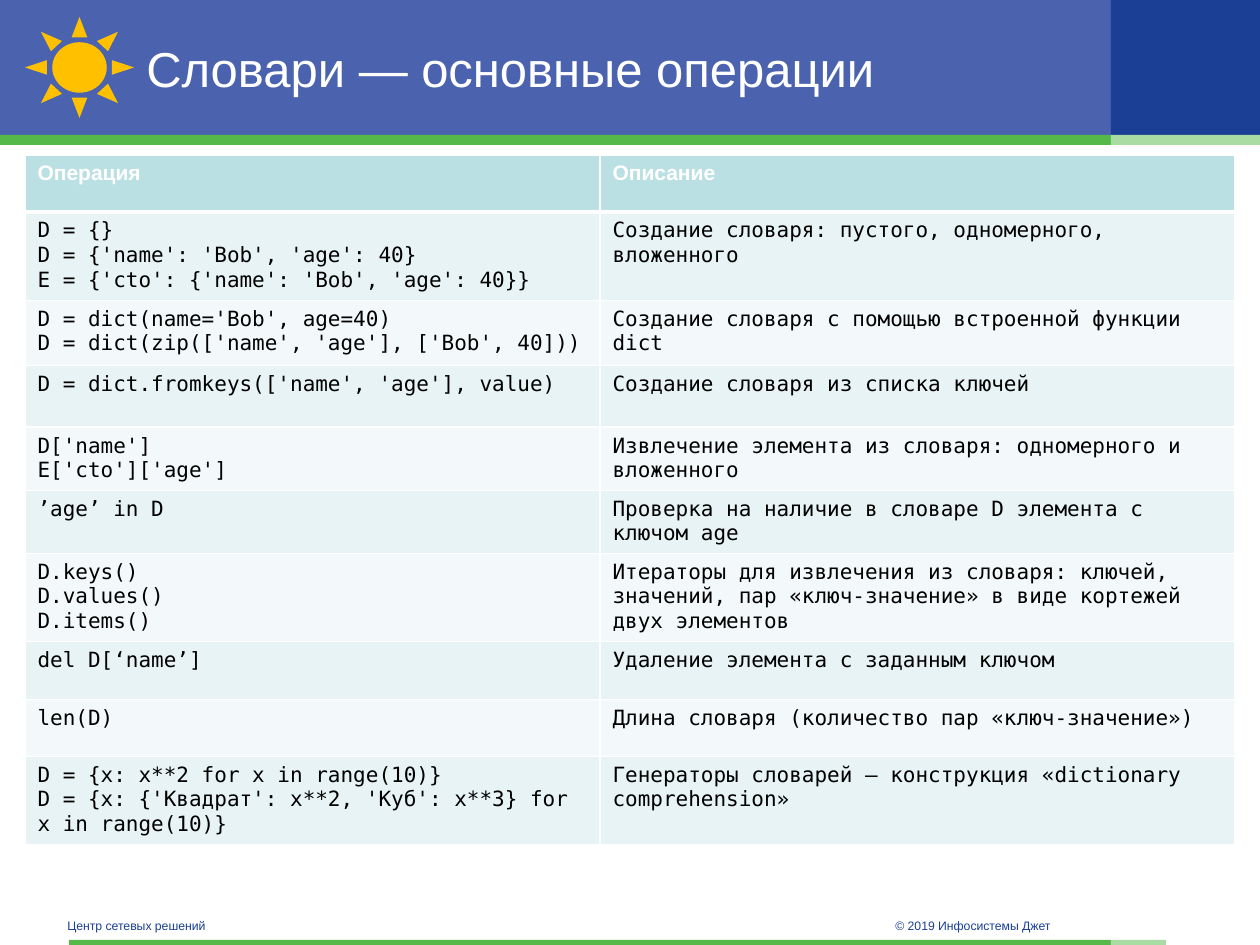
from typing import NamedTuple

from lxml.etree import SubElement
from pptx import Presentation
from pptx.dml.color import RGBColor
from pptx.enum.shapes import MSO_SHAPE
from pptx.enum.text import MSO_ANCHOR
from pptx.oxml.ns import qn
from pptx.util import Emu, Pt

SCALE = 914400 / 126  # EMU in one px
COLORS = {
    "band": "4B63AE", "navy": "1B3F94", "green": "54B948", "light": "A9DCA3",
    "sun": "FFC000", "white": "FFFFFF", "black": "000000",
    "head": "BBE0E3", "odd": "E7F3F4", "even": "F3F9FA",
}
SANS, MONO = "Arial", "DejaVu Sans Mono"


class Block(NamedTuple):
    left: int
    top: int
    width: int
    height: int
    color: str
    kind: MSO_SHAPE = MSO_SHAPE.RECTANGLE


class Label(NamedTuple):
    left: int
    top: int
    width: int
    height: int
    text: str
    size: int
    color: str


class Row(NamedTuple):
    height: int
    code: str
    note: str


BLOCKS = [
    # Header band with its green rule
    Block(0, 0, 1260, 135, "band"),
    Block(1111, 0, 149, 135, "navy"),
    Block(0, 135, 1111, 10, "green"),
    Block(1111, 135, 149, 10, "light"),
    # Footer rule
    Block(69, 940, 1042, 5, "green"),
    Block(1111, 940, 55, 5, "light"),
    # Sun sign
    Block(25, 17, 109, 101, "sun", MSO_SHAPE.SUN),
]
LABELS = [
    Label(134, 18, 952, 100, "Словари — основные операции", 28, "white"),
    Label(55, 912, 416, 28, "Центр сетевых решений", 7, "navy"),
    Label(883, 912, 298, 28, "© 2019 Инфосистемы Джет", 7, "navy"),
]
COLS = [575, 635]
ROWS = [
    Row(57, "Операция", "Описание"),
    Row(86, "D = {}\nD = {'name': 'Bob', 'age': 40}\n"
        "E = {'cto': {'name': 'Bob', 'age': 40}}",
        "Создание словаря: пустого, одномерного, вложенного"),
    Row(65, "D = dict(name='Bob', age=40)\n"
        "D = dict(zip(['name', 'age'], ['Bob', 40]))",
        "Создание словаря с помощью встроенной функции dict"),
    Row(62, "D = dict.fromkeys(['name', 'age'], value)",
        "Создание словаря из списка ключей"),
    Row(62, "D['name']\nE['cto']['age']",
        "Извлечение элемента из словаря: одномерного и вложенного"),
    Row(62, "’age’ in D",
        "Проверка на наличие в словаре D элемента с ключом age"),
    Row(86, "D.keys()\nD.values()\nD.items()",
        "Итераторы для извлечения из словаря: ключей, значений, "
        "пар «ключ-значение» в виде кортежей двух элементов"),
    Row(58, "del D[‘name’]", "Удаление элемента с заданным ключом"),
    Row(57, "len(D)", "Длина словаря (количество пар «ключ-значение»)"),
    Row(86, "D = {x: x**2 for x in range(10)}\n"
        "D = {x: {'Квадрат': x**2, 'Куб': x**3} for x in range(10)}",
        "Генераторы словарей — конструкция «dictionary comprehension»"),
]


def px(count: int) -> Emu:
    return Emu(round(count * SCALE))


def tint(name: str) -> RGBColor:
    return RGBColor.from_string(COLORS[name])


def style(frame, size: int, color: str, face: str, bold: bool = False) -> None:
    for par in frame.paragraphs:
        for run in par.runs:
            font = run.font
            font.size, font.name, font.bold = Pt(size), face, bold
            font.color.rgb = tint(color)


def draw_block(slide, block: Block) -> None:
    shape = slide.shapes.add_shape(block.kind, *map(px, block[:4]))
    shape.shadow.inherit = False
    shape.fill.solid()
    shape.fill.fore_color.rgb = tint(block.color)
    shape.line.fill.background()


def draw_label(slide, label: Label) -> None:
    frame = slide.shapes.add_textbox(*map(px, label[:4])).text_frame
    frame.word_wrap = True
    frame.vertical_anchor = MSO_ANCHOR.MIDDLE
    frame.text = label.text
    style(frame, label.size, label.color, SANS)


def edge(cell, side: str, width: int) -> None:
    props = cell._tc.get_or_add_tcPr()
    line = SubElement(props, qn(f"a:ln{side}"), w=str(Pt(width)))
    fill = SubElement(line, qn("a:solidFill"))
    SubElement(fill, qn("a:srgbClr"), val=COLORS["white"])


def draw_cell(cell, text: str, index: int) -> None:
    head = index == 0
    # The line under the head is thicker than the rest
    widths = {"L": 1, "R": 1, "T": 3 if index == 1 else 1, "B": 3 if head else 1}
    for side, width in widths.items():
        edge(cell, side, width)
    cell.fill.solid()
    cell.fill.fore_color.rgb = tint("head" if head else "odd" if index % 2 else "even")
    cell.text_frame.text = text
    if head:
        style(cell.text_frame, 12, "white", SANS, True)
    else:
        style(cell.text_frame, 12, "black", MONO)


def draw_table(slide, rows: list[Row], left: int, top: int) -> None:
    high = sum(row.height for row in rows)
    box = map(px, (left, top, sum(COLS), high))
    table = slide.shapes.add_table(len(rows), len(COLS), *box).table
    for col, width in zip(table.columns, COLS):
        col.width = px(width)
    for index, row in enumerate(rows):
        table.rows[index].height = px(row.height)
        for spot, text in enumerate((row.code, row.note)):
            draw_cell(table.cell(index, spot), text, index)


def main() -> None:
    deck = Presentation()
    deck.slide_width, deck.slide_height = px(1260), px(945)
    slide = deck.slides.add_slide(deck.slide_layouts[6])
    for block in BLOCKS:
        draw_block(slide, block)
    for label in LABELS:
        draw_label(slide, label)
    draw_table(slide, ROWS, 25, 155)
    deck.save("out.pptx")


if __name__ == "__main__":
    main()
